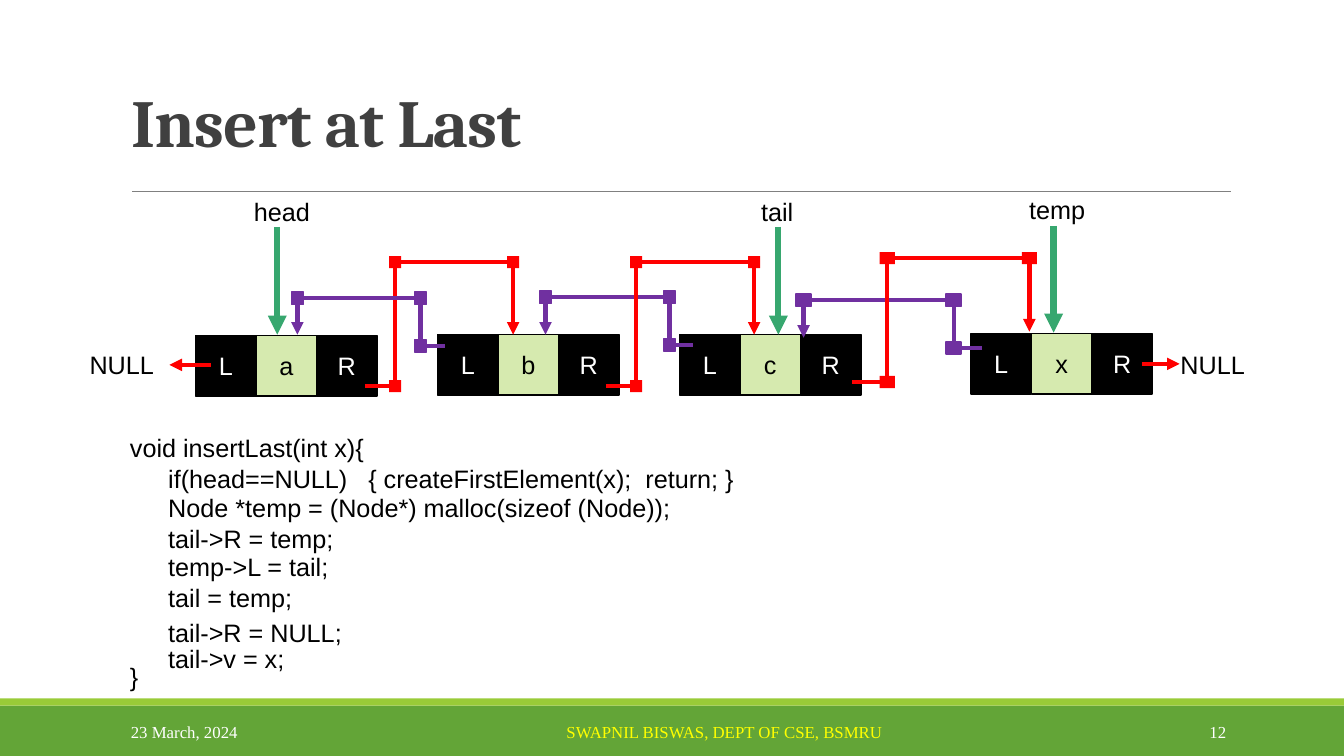
from pptx import Presentation
from pptx.dml.color import RGBColor
from pptx.enum import shapes, text
from pptx.oxml.ns import qn
from pptx.util import Inches, Pt
from lxml import etree

BLACK, WHITE, RED, PURPLE, GREEN = "000000", "FFFFFF", "FF0000", "7030A0", "37A76F"
LEFT, CENTER, RIGHT = text.PP_ALIGN.LEFT, text.PP_ALIGN.CENTER, text.PP_ALIGN.RIGHT
rgb = RGBColor.from_string

prs = Presentation()
prs.slide_width, prs.slide_height = Inches(13.33), Inches(7.5)
s = prs.slides.add_slide(prs.slide_layouts[5])


def rect(x, y, w, h, fill, line=None):
    sp = s.shapes.add_shape(shapes.MSO_SHAPE.RECTANGLE, Inches(x), Inches(y), Inches(w), Inches(h))
    sp.shadow.inherit = False
    sp.fill.solid()
    sp.fill.fore_color.rgb = rgb(fill)
    if line:
        sp.line.color.rgb = rgb(line)
        sp.line.width = Pt(1.25)
    else:
        sp.line.fill.background()
    return sp


def connect(start, end, color, width, arrow=False):
    ends = [Inches(v) for v in (*start, *end)]
    cn = s.shapes.add_connector(shapes.MSO_CONNECTOR.STRAIGHT, *ends)
    cn.line.color.rgb = rgb(color)
    cn.line.width = Pt(width)
    if arrow:
        etree.SubElement(cn.line._get_or_add_ln(), qn("a:tailEnd"), type="triangle")
    etree.SubElement(cn._element.spPr, qn("a:effectLst"))


# Footer bands and title rule
rect(0, 7, 13.33, 0.5, "63A537")
rect(0, 6.93, 13.33, 0.07, "99CB38")
connect((1.31, 1.9), (12.21, 1.9), "808080", 0.5)

# Title
title = s.shapes.title
title.left, title.top, title.width, title.height = Inches(1.2), Inches(0.06), Inches(11), Inches(1.59)
tf = title.text_frame
tf.text = "Insert at Last"
tf.auto_size = text.MSO_AUTO_SIZE.NONE
tf.vertical_anchor = text.MSO_ANCHOR.BOTTOM
p = tf.paragraphs[0]
p.alignment = LEFT
p.line_spacing = 0.85
p.font.name, p.font.size, p.font.bold = "Cambria", Pt(48), True
p.font.color.rgb = rgb("404040")
p.runs[0]._r.get_or_add_rPr().set("spc", "-50")

# List nodes: left link, value, right link
CELL = 0.6
for value, x, y in [("a", 1.94, 3.33), ("b", 4.34, 3.32), ("c", 6.74, 3.32), ("x", 9.63, 3.31)]:
    for i, label in enumerate(["L", value, "R"]):
        fill, color = ("D6EAAF", BLACK) if i == 1 else (BLACK, WHITE)
        tf = rect(x + i * CELL, y, CELL, CELL, fill, BLACK).text_frame
        tf.vertical_anchor = text.MSO_ANCHOR.MIDDLE
        tf.text = label
        p = tf.paragraphs[0]
        p.alignment = CENTER
        p.font.name, p.font.size = "Arial", Pt(18)
        p.font.color.rgb = rgb(color)

# Links between nodes: start, riser x, top y, drop x, tip y, square width
links = [
    (RED, 3.62, 3.83, 3.92, 2.6, 5.09, 3.32, 0.12),
    (PURPLE, 4.41, 3.43, 4.17, 2.96, 2.95, 3.32, 0.12),
    (PURPLE, 6.87, 3.42, 6.64, 2.95, 5.41, 3.32, 0.12),
    (PURPLE, 9.74, 3.45, 9.46, 2.98, 7.97, 3.35, 0.15),
    (RED, 6.01, 3.83, 6.31, 2.6, 7.48, 3.32, 0.12),
    (RED, 8.45, 3.79, 8.8, 2.56, 10.21, 3.29, 0.15),
]
for color, x, y, riser, top, drop, tip, side in links:
    points = [(x, y), (riser, y), (riser, top), (drop, top), (drop, tip)]
    for i in range(4):
        connect(points[i], points[i + 1], color, 3, arrow=i == 3)
    for cx, cy in points[1:4]:
        rect(cx - side / 2, cy - 0.06, side, 0.12, color, PURPLE if color == PURPLE else None)

# Pointers to nodes and to NULL
for x, y, tip in [(2.75, 2.25, 3.32), (7.72, 2.25, 3.32), (10.45, 2.24, 3.3)]:
    connect((x, y), (x, tip), GREEN, 4.5, arrow=True)
connect((2.09, 3.62), (1.68, 3.62), RED, 3, arrow=True)
connect((11.33, 3.61), (11.7, 3.61), RED, 3, arrow=True)

# Labels, code lines and footer: text, left, top, width
labels = [
    ("head", 2.42, 1.9, 0.8),
    ("tail", 7.45, 1.9, 0.68),
    ("temp", 10.11, 1.88, 0.8),
    ("NULL", 0.79, 3.42, 0.94),
    ("NULL", 11.61, 3.42, 0.94),
    ("void insertLast(int x){", 1.19, 4.24, 3.55),
    ("if(head==NULL)   { createFirstElement(x);  return; }", 1.57, 4.55, 6.2),
    ("Node *temp = (Node*) malloc(sizeof (Node));", 1.57, 4.83, 5.91),
    ("tail->R = temp;", 1.57, 5.14, 1.98),
    ("temp->L = tail;", 1.57, 5.42, 1.98),
    ("tail = temp;", 1.57, 5.73, 1.98),
    ("tail->R = NULL;", 1.57, 6.07, 2.17),
    ("tail->v = x;", 1.57, 6.33, 1.44),
    ("}", 1.19, 6.51, 0.45),
]
footer = [
    ("23 March, 2024", 1.2, 7.06, 2.7, WHITE, LEFT),
    ("SWAPNIL BISWAS, DEPT OF CSE, BSMRU", 5.52, 7.06, 3.5, "FFFF00", LEFT),
    ("12", 10.83, 7.06, 1.43, WHITE, RIGHT),
]
boxes = [(*label, BLACK, LEFT, "Arial", 18) for label in labels]
boxes += [(*item, "Times New Roman", 12) for item in footer]
for words, x, y, w, color, align, font, size in boxes:
    tf = s.shapes.add_textbox(Inches(x), Inches(y), Inches(w), Inches(0.4)).text_frame
    tf.word_wrap = True
    tf.vertical_anchor = text.MSO_ANCHOR.MIDDLE
    tf.text = words
    p = tf.paragraphs[0]
    p.alignment = align
    p.font.name, p.font.size = font, Pt(size)
    p.font.color.rgb = rgb(color)

prs.save("out.pptx")
